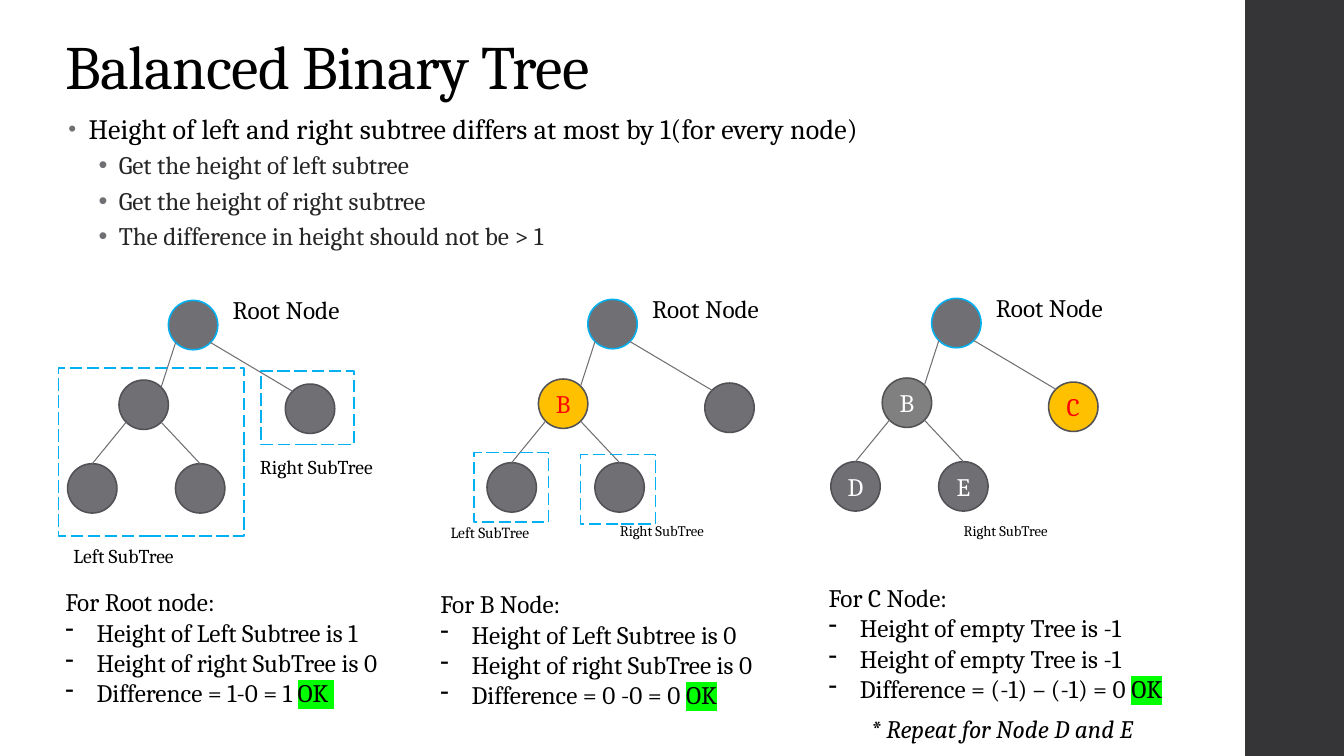
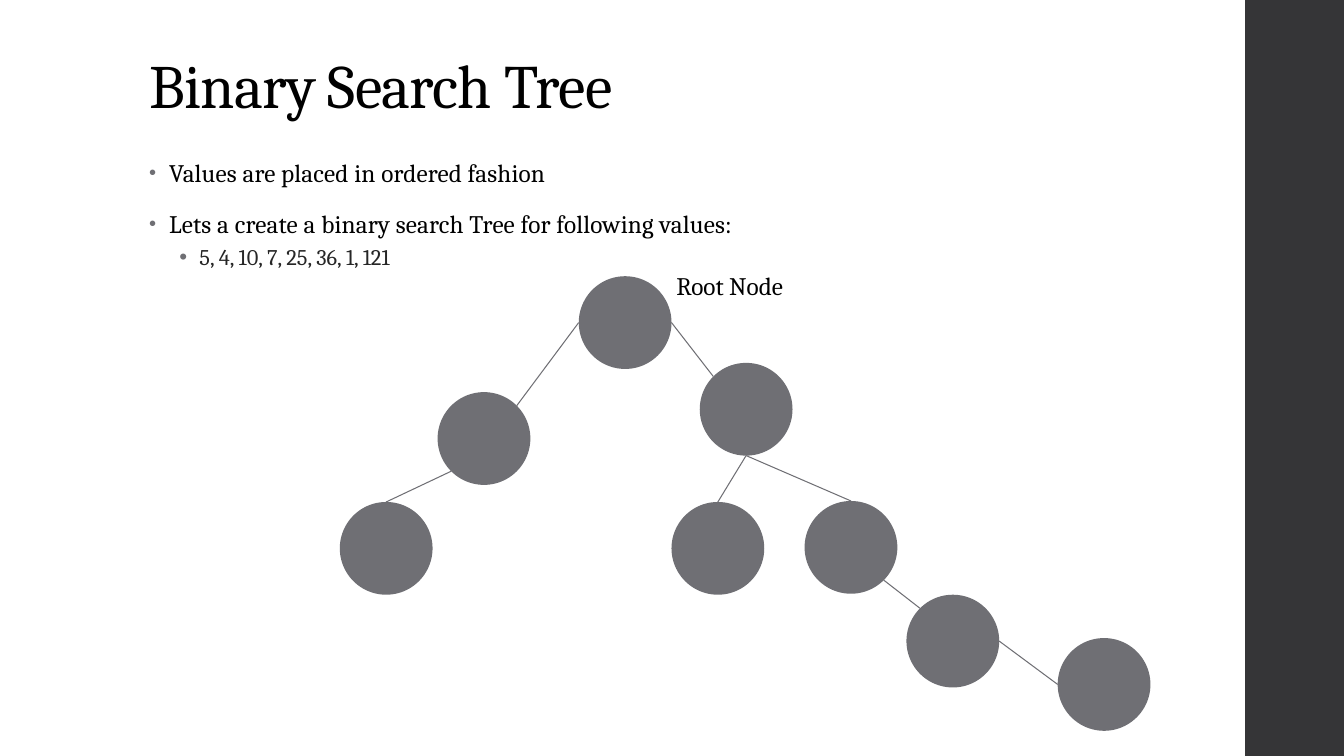
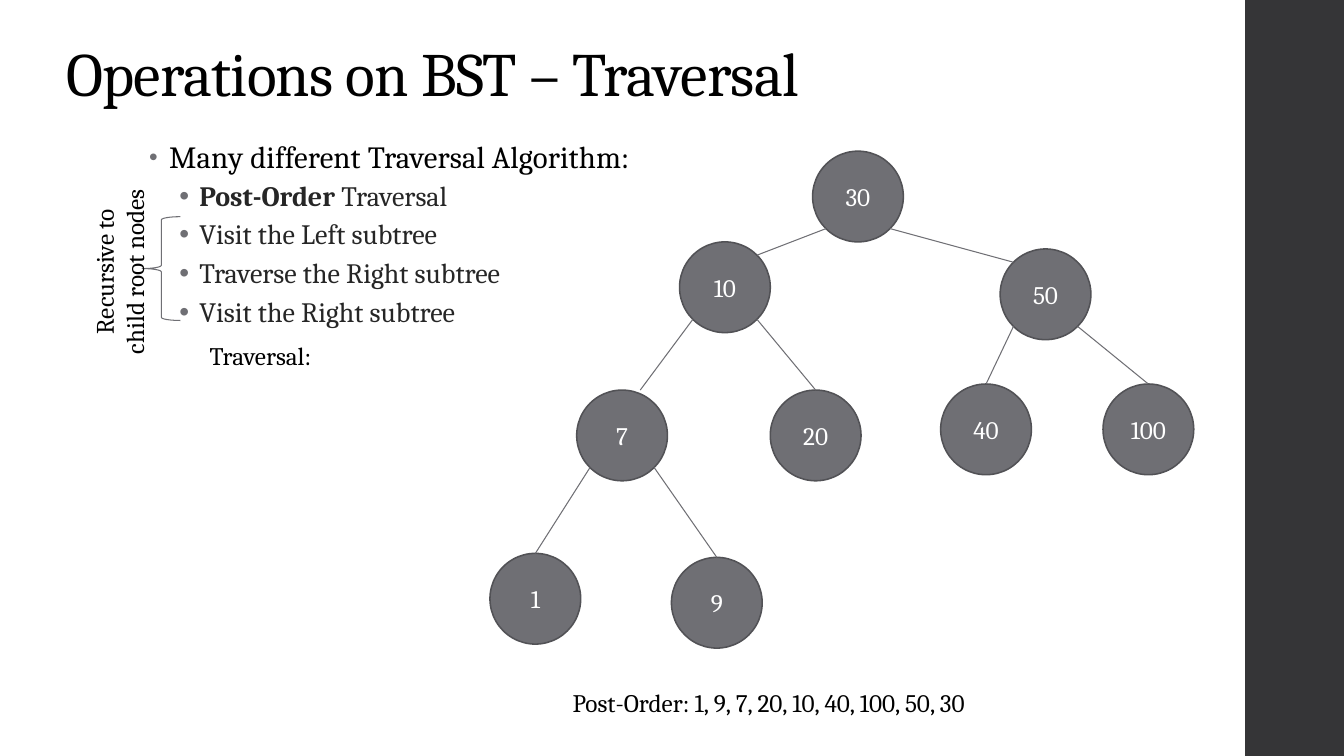
from math import cos, radians, sin

from lxml import etree
from pptx import Presentation
from pptx.dml.color import RGBColor
from pptx.enum.dml import MSO_LINE
from pptx.enum.shapes import MSO_CONNECTOR, MSO_SHAPE
from pptx.enum.text import MSO_ANCHOR, MSO_AUTO_SIZE, PP_ALIGN
from pptx.oxml.ns import qn
from pptx.util import Inches, Pt

RECT, OVAL, BRACE = MSO_SHAPE.RECTANGLE, MSO_SHAPE.OVAL, MSO_SHAPE.LEFT_BRACE
STRAIGHT, LONG_DASH = MSO_CONNECTOR.STRAIGHT, MSO_LINE.LONG_DASH
TOP, MIDDLE, BOTTOM = MSO_ANCHOR.TOP, MSO_ANCHOR.MIDDLE, MSO_ANCHOR.BOTTOM
LEFT, CENTER = PP_ALIGN.LEFT, PP_ALIGN.CENTER
GROW, FIXED = MSO_AUTO_SIZE.SHAPE_TO_FIT_TEXT, MSO_AUTO_SIZE.NONE

FONT = "Cambria"
C = {
    "band": "353537", "gray": "6F6F74", "edge": "525256", "mid": "808080",
    "blue": "00B0F0", "gold": "FFC000", "red": "FF0000", "green": "00FF00",
    "black": "000000", "soft": "262626", "white": "FFFFFF",
}

# Paragraph styles: indents in inches, spacing in points
STYLES = {
    "plain": {},
    "title": {"line": 0.9, "spc": -50},
    "point": {"line": 0.95, "before": 14, "after": 2, "margin": 0.2, "hang": 0.2,
              "bullet": "•", "bullet_size": 80, "spc": 10},
    "sub": {"line": 0.9, "before": 3, "after": 3, "margin": 0.5, "hang": 0.2,
            "bullet": "•", "color": "soft"},
    "dash": {"margin": 0.31, "hang": 0.31, "bullet": "-"},
}

# Directions on a circle, in degrees clockwise from east
SITES = {"E": 0, "SE": 45, "S": 90, "SW": 135, "W": 180, "NW": 225, "N": 270, "NE": 315}

# Slide 1: one small tree drawn three times, offsets measured from its root
SMALL = 0.49
SMALL_TREE = {"root": (0, 0), "B": (-0.49, 0.79), "C": (1.16, 0.83),
              "D": (-1, 1.62), "E": (0.07, 1.62)}
SMALL_EDGES = [("root", "SW", "B", "NE"), ("root", "SE", "C", "NW"),
               ("B", "SW", "D", "N"), ("B", "SE", "E", "N")]
BALANCED = {
    "title": ("Balanced Binary Tree", 0.55, 0.21),
    "body": (0.58, 1.08, 9.4, 2.43),
    "size": 20,
    "points": [
        ("Height of left and right subtree differs at most by 1(for every node)", "point"),
        ("Get the height of left subtree", "sub"),
        ("Get the height of right subtree", "sub"),
        ("The difference in height should not be > 1", "sub"),
    ],
}
# marks: node -> (label, fill, text colour)
CASES = [
    {"root": (1.67, 2.98), "marks": {}, "notes": (0.55, 5.77), "head": "For Root node:",
     "heights": ["Height of Left Subtree is 1", "Height of right SubTree is 0"],
     "result": "Difference = 1-0 = 1 ", "ok": "OK ",
     "frames": [(0.58, 3.65, 1.84, 1.67), (2.59, 3.68, 0.92, 0.73)],
     "labels": [("Left SubTree", (0.63, 5.35, 1.4, 0.34), 14),
                ("Right SubTree", (2.48, 4.46, 1.53, 0.34), 14)]},
    {"root": (5.83, 2.97), "marks": {"B": ("B", "gold", "red")},
     "notes": (4.27, 5.79), "head": "For B Node:",
     "heights": ["Height of Left Subtree is 0", "Height of right SubTree is 0"],
     "result": "Difference = 0 -0 = 0 ", "ok": "OK",
     "frames": [(4.7, 4.49, 0.74, 0.69), (5.76, 4.51, 0.74, 0.69)],
     "labels": [("Left SubTree", (4.37, 5.14, 1.14, 0.29), 11),
                ("Right SubTree", (6.05, 5.13, 1.2, 0.28), 10.5)]},
    {"root": (9.24, 2.96),
     "marks": {"B": ("B", "mid", "white"), "C": ("C", "gold", "red"),
               "D": ("D", "gray", "white"), "E": ("E", "gray", "white")},
     "notes": (8.12, 5.73), "head": "For C Node:",
     "heights": ["Height of empty Tree is -1"] * 2,
     "result": "Difference = (-1) – (-1) = 0 ", "ok": "OK",
     "frames": [],
     "labels": [("Right SubTree", (9.46, 5.13, 1.2, 0.28), 10.5)]},
]

# Slide 2: unlabelled search tree, keyed by the inserted values
SEARCH = {
    "title": ("Binary Search Tree", 1.38, 0.4),
    "body": (1.38, 1.53, 9.4, 1.73),
    "size": 18,
    "points": [
        ("Values are placed in ordered fashion", "point"),
        ("Lets a create a binary search Tree for following values:", "point"),
        ("5, 4, 10, 7, 25, 36, 1, 121", "sub"),
    ],
}
SEARCH_SIZE = 0.92
SEARCH_TREE = {5: (5.74, 2.74), 4: (4.34, 3.89), 10: (6.94, 3.6), 1: (3.37, 4.98),
               7: (6.66, 4.98), 25: (7.98, 4.97), 36: (8.99, 5.9), 121: (10.49, 6.33)}
SEARCH_EDGES = [(5, "W", 4, "NE"), (5, "E", 10, "NW"), (4, "SW", 1, "N"),
                (10, "S", 7, "N"), (10, "S", 25, "N"), (25, "SE", 36, "NW"),
                (36, "E", 121, "W")]

# Slide 3: labelled search tree
TRAVERSAL = {
    "title": ("Operations on BST – Traversal", 0.56, 0.28),
    "body": (1.38, 1.34, 6.43, 5.76),
    "size": 22,
    "points": [
        ("Many different Traversal Algorithm:", "point"),
        ([("Post-Order", {"bold": True}), (" Traversal", {})], "sub"),
        ("Visit the Left subtree", "sub"),
        ("Traverse the Right subtree", "sub"),
        ("Visit the Right subtree", "sub"),
    ],
}
ORDER_SIZE = 0.9
ORDER_TREE = {30: (8.06, 1.5), 10: (6.74, 2.4), 50: (9.92, 2.47), 7: (5.72, 3.87),
              20: (7.64, 3.87), 1: (4.86, 5.49), 9: (6.66, 5.53), 40: (9.33, 3.81),
              100: (10.94, 3.81)}
# A fifth value shifts the end of the edge to the right
ORDER_EDGES = [(30, "SW", 10, "NE"), (30, "SE", 50, "NW"), (10, "SW", 7, "N", 0.18),
               (10, "SE", 20, "N"), (7, "SW", 1, "N"), (7, "SE", 9, "N"),
               (50, "SW", 40, "N"), (50, "SE", 100, "N")]


def rgb(name):
    return RGBColor.from_string(C[name])


def box(at):
    return [Inches(v) for v in at]


def add_bullet(pPr, style):
    color = etree.SubElement(pPr, qn("a:buClr"))
    value = C["gray"] if style["bullet"] == "•" else C["black"]
    etree.SubElement(color, qn("a:srgbClr")).set("val", value)
    if "bullet_size" in style:
        size = etree.SubElement(pPr, qn("a:buSzPct"))
        size.set("val", str(style["bullet_size"] * 1000))
    if style["bullet"] == "•":
        etree.SubElement(pPr, qn("a:buFont")).set("typeface", "Arial")
    etree.SubElement(pPr, qn("a:buChar")).set("char", style["bullet"])


def style_paragraph(p, style, first):
    pPr = p._p.get_or_add_pPr()
    if "bullet" in style:
        pPr.set("marL", str(Inches(style["margin"])))
        pPr.set("indent", str(-Inches(style["hang"])))
        add_bullet(pPr, style)
    if "line" in style:
        p.line_spacing = style["line"]
    if "before" in style:
        p.space_before = Pt(0 if first else style["before"])
        p.space_after = Pt(style["after"])


def write(tf, paras, size=18, color="black", italic=False, align=LEFT,
          anchor=TOP, wrap=False, fit=GROW):
    """Fill a text frame with (text or runs, style name) pairs."""
    tf.word_wrap, tf.auto_size, tf.vertical_anchor = wrap, fit, anchor
    for i, (runs, name) in enumerate(paras):
        style = STYLES[name]
        p = tf.paragraphs[0] if i == 0 else tf.add_paragraph()
        style_paragraph(p, style, i == 0)
        p.alignment = align
        for text, extra in [(runs, {})] if isinstance(runs, str) else runs:
            r = p.add_run()
            r.text = text
            f = r.font
            f.name, f.italic, f.bold = FONT, italic, extra.get("bold", False)
            f.size = Pt(size - 2 if name == "sub" else size)
            f.color.rgb = rgb(style.get("color", color))
            rPr = r._r.get_or_add_rPr()
            if "spc" in style:
                rPr.set("spc", str(style["spc"]))
            if "highlight" in extra:
                mark = etree.Element(qn("a:highlight"))
                etree.SubElement(mark, qn("a:srgbClr")).set("val", C[extra["highlight"]])
                rPr.find(qn("a:solidFill")).addnext(mark)


def add_text(s, at, paras, **fmt):
    if isinstance(paras, str):
        paras = [(paras, "plain")]
    tb = s.shapes.add_textbox(*box(at))
    write(tb.text_frame, paras, **fmt)
    return tb


def add_shape(s, kind, at, fill=None, line=None, width=1.1, dash=None):
    sp = s.shapes.add_shape(kind, *box(at))
    sp.shadow.inherit = False
    if fill:
        sp.fill.solid()
        sp.fill.fore_color.rgb = rgb(fill)
    else:
        sp.fill.background()
    if line:
        sp.line.color.rgb = rgb(line)
        sp.line.width = Pt(width)
        if dash:
            sp.line.dash_style = dash
    else:
        sp.line.fill.background()
    return sp


def add_node(s, x, y, size, label=None, fill="gray", line=None, color="white"):
    sp = add_shape(s, OVAL, (x, y, size, size), fill, line)
    if label:
        write(sp.text_frame, [(label, "plain")], color=color, align=CENTER,
              anchor=MIDDLE, fit=FIXED)


def add_edges(s, nodes, edges, size):
    def point(node, site):
        x, y = nodes[node]
        a = radians(SITES[site])
        return x + size / 2 * (1 + cos(a)), y + size / 2 * (1 + sin(a))

    for parent, out, child, into, *shift in edges:
        x1, y1 = point(parent, out)
        x2, y2 = point(child, into)
        ends = box((x1, y1, x2 + sum(shift), y2))
        cx = s.shapes.add_connector(STRAIGHT, *ends)
        cx.line.color.rgb = rgb("gray")
        cx.line.width = Pt(0.75)
        etree.SubElement(cx._element.spPr, qn("a:effectLst"))


def new_slide(prs, content):
    """Blank slide with the side band, the title and the bulleted body."""
    s = prs.slides.add_slide(prs.slide_layouts[6])
    add_shape(s, RECT, (12.35, 0, 1, 7.5), "band")
    title, x, y = content["title"]
    add_text(s, (x, y, 10.6, 0.86), [(title, "title")], size=44, anchor=BOTTOM,
             wrap=True, fit=FIXED)
    add_text(s, content["body"], content["points"], size=content["size"],
             wrap=True, fit=FIXED)
    return s


def balanced_slide(prs):
    s = new_slide(prs, BALANCED)
    for case in CASES:
        # Tree
        x0, y0 = case["root"]
        nodes = {n: (x0 + dx, y0 + dy) for n, (dx, dy) in SMALL_TREE.items()}
        for name, (x, y) in nodes.items():
            label, fill, color = case["marks"].get(name, (None, "gray", "white"))
            add_node(s, x, y, SMALL, label, fill,
                     "blue" if name == "root" else "edge", color)
        add_edges(s, nodes, SMALL_EDGES, SMALL)
        add_text(s, (x0 + 0.54, y0 - 0.11, 1.41, 0.4), "Root Node")
        # Subtree frames and labels
        for at in case["frames"]:
            add_shape(s, RECT, at, line="blue", dash=LONG_DASH)
        for text, at, size in case["labels"]:
            add_text(s, at, text, size=size)
        # Height check
        result = [(case["result"], {}), (case["ok"], {"highlight": "green"})]
        lines = [(case["head"], "plain")]
        lines += [(line, "dash") for line in case["heights"] + [result]]
        add_text(s, (*case["notes"], 3.96, 1.31), lines, wrap=True)
    add_text(s, (8.54, 7.03, 3.31, 0.4), "* Repeat for Node D and E", italic=True)


def search_slide(prs):
    s = new_slide(prs, SEARCH)
    for x, y in SEARCH_TREE.values():
        add_node(s, x, y, SEARCH_SIZE)
    add_edges(s, SEARCH_TREE, SEARCH_EDGES, SEARCH_SIZE)
    add_text(s, (6.61, 2.63, 1.41, 0.4), "Root Node")


def traversal_slide(prs):
    s = new_slide(prs, TRAVERSAL)
    for value, (x, y) in ORDER_TREE.items():
        add_node(s, x, y, ORDER_SIZE, str(value), line="edge")
    add_edges(s, ORDER_TREE, ORDER_EDGES, ORDER_SIZE)
    # Brace and its sideways label
    add_shape(s, BRACE, (1.41, 2.15, 0.38, 1.03), line="gray", width=0.75)
    side = add_text(s, (0.13, 2.34, 2.11, 0.71),
                    [("Recursive to", "plain"), ("child root nodes", "plain")],
                    align=CENTER)
    side.rotation = 270
    add_text(s, (1.98, 3.33, 6.21, 0.4), "Traversal:", wrap=True)
    add_text(s, (5.58, 6.77, 4.99, 0.4), "Post-Order: 1, 9, 7, 20, 10, 40, 100, 50, 30")


def main():
    prs = Presentation()
    prs.slide_width, prs.slide_height = Inches(13.33), Inches(7.5)
    balanced_slide(prs)
    search_slide(prs)
    traversal_slide(prs)
    prs.save("out.pptx")


if __name__ == "__main__":
    main()
